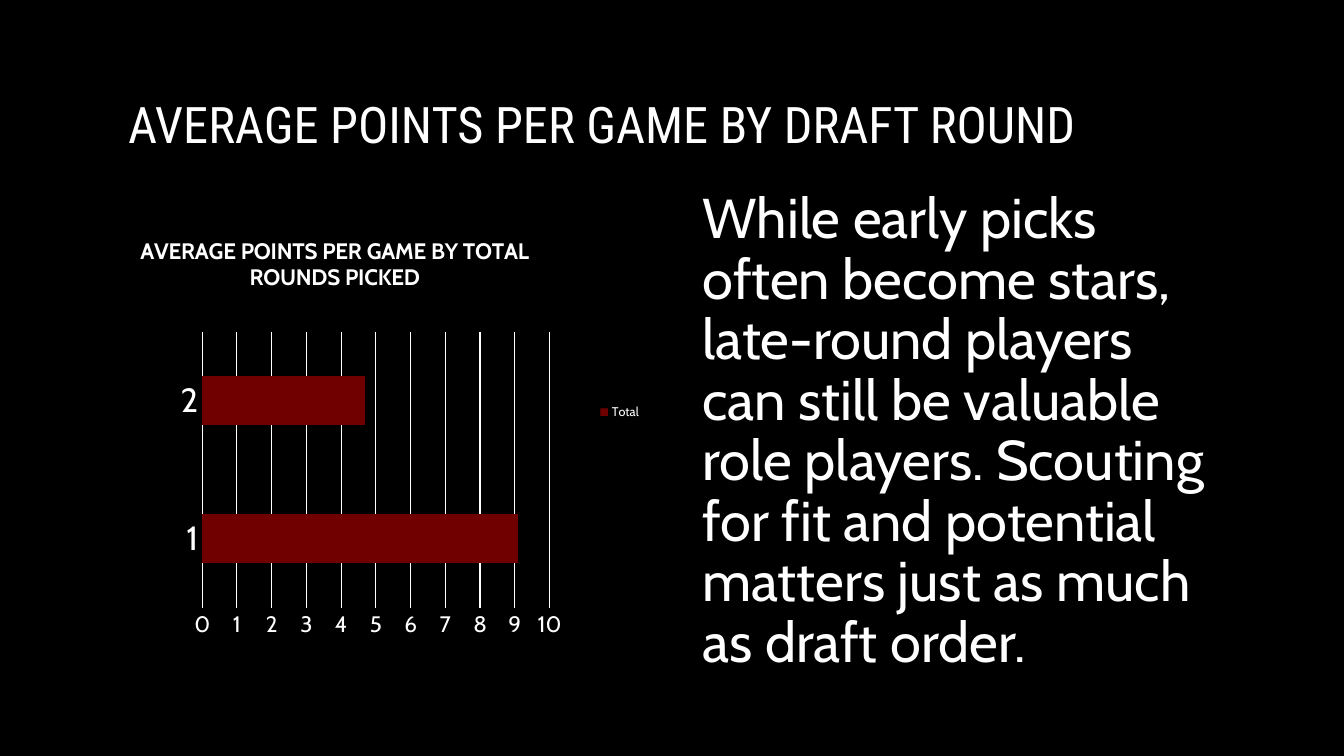
import pptx
import pptx.chart.data
import pptx.dml.color
import pptx.enum.chart
import pptx.enum.text
import pptx.util
import lxml.etree

Inches = pptx.util.Inches
Pt = pptx.util.Pt
RGB = pptx.dml.color.RGBColor
Kind = pptx.enum.chart

BLACK = RGB(0x00, 0x00, 0x00)
WHITE = RGB(0xFF, 0xFF, 0xFF)
RED = RGB(0x70, 0x00, 0x00)
HEAD = "Roboto Condensed"
BODY = "Cabin"


class Page:
    def __init__(self, deck):
        self.slide = deck.slides.add_slide(deck.slide_layouts[5])
        fill = self.slide.background.fill
        fill.solid()
        fill.fore_color.rgb = BLACK

    def style(self, font, size, name=BODY, bold=False):
        look = {"size": Pt(size), "name": name, "bold": bold}
        for key, value in look.items():
            setattr(font, key, value)
        font.color.rgb = WHITE

    def place(self, shape, box):
        for key, value in zip(("left", "top", "width", "height"), box):
            setattr(shape, key, Inches(value))

    def label(self, shape, text, size, name, anchor):
        frame = shape.text_frame
        look = {
            "text": text,
            "word_wrap": True,
            "auto_size": pptx.enum.text.MSO_AUTO_SIZE.NONE,
            "vertical_anchor": anchor,
        }
        for key, value in look.items():
            setattr(frame, key, value)
        line = frame.paragraphs[0]
        line.alignment = pptx.enum.text.PP_ALIGN.LEFT
        line.line_spacing = 0.9
        self.style(line.runs[0].font, size, name)

    def title(self, text, box):
        shape = self.slide.shapes.title
        self.place(shape, box)
        self.label(shape, text, 36, HEAD, pptx.enum.text.MSO_ANCHOR.BOTTOM)

    def text(self, text, box):
        shape = self.slide.shapes.add_textbox(*map(Inches, box))
        self.label(shape, text, 40, BODY, pptx.enum.text.MSO_ANCHOR.TOP)

    def layout(self, node, values):
        tag = node.tag.split("}")[0] + "}"
        old = node.find(tag + "layout")
        if old is None:
            old = lxml.etree.Element(tag + "layout")
            spot = node.find(tag + "tx")
            if spot is None:
                node.insert(0, old)
            else:
                spot.addnext(old)
        for child in list(old):
            old.remove(child)
        manual = lxml.etree.SubElement(old, tag + "manualLayout")
        for key, value in values.items():
            lxml.etree.SubElement(manual, tag + key).set("val", str(value))

    def axis(self, axis, size):
        axis.major_tick_mark = Kind.XL_TICK_MARK.NONE
        axis.minor_tick_mark = Kind.XL_TICK_MARK.NONE
        self.style(axis.tick_labels.font, size)

    def rule(self, line):
        line.color.rgb = WHITE
        line.width = Pt(0.75)

    def bars(self, title, names, label, values, box):
        data = pptx.chart.data.CategoryChartData()
        data.categories = names
        data.add_series(label, values)
        frame = self.slide.shapes.add_chart(
            Kind.XL_CHART_TYPE.BAR_CLUSTERED, *map(Inches, box), data)
        chart = frame.chart
        self.style(chart.font, 10)

        head = chart.chart_title.text_frame
        head.text = title
        self.style(head.paragraphs[0].runs[0].font, 16, bold=True)
        self.layout(chart.chart_title._element,
                    {"xMode": "edge", "yMode": "edge", "x": 0.14, "y": 0.14})

        plot = chart.plots[0]
        plot.gap_width = 182
        plot.vary_by_categories = False
        fill = plot.series[0].format.fill
        fill.solid()
        fill.fore_color.rgb = RED
        self.layout(chart._chartSpace.chart.plotArea, {
            "layoutTarget": "inner", "xMode": "edge", "yMode": "edge",
            "x": 0.25, "y": 0.34, "w": 0.58, "h": 0.55})

        self.axis(chart.category_axis, 24)
        self.rule(chart.category_axis.format.line)
        axis = chart.value_axis
        self.axis(axis, 16)
        axis.format.line.fill.background()
        scale = {"minimum_scale": 0, "maximum_scale": 10, "major_unit": 1,
                 "has_major_gridlines": True}
        for key, value in scale.items():
            setattr(axis, key, value)
        self.rule(axis.major_gridlines.format.line)

        chart.has_legend = True
        chart.legend.position = Kind.XL_LEGEND_POSITION.RIGHT
        chart.legend.include_in_layout = False
        self.style(chart.legend.font, 9)


def main():
    deck = pptx.Presentation()
    deck.slide_width = Inches(13.33)
    deck.slide_height = Inches(7.5)
    page = Page(deck)
    page.title("AVERAGE POINTS PER GAME BY DRAFT ROUND",
               (1.17, 0.33, 11, 1.25))
    page.text("While early picks often become stars, late-round players can "
              "still be valuable role players. Scouting for fit and potential "
              "matters just as much as draft order.",
              (6.87, 1.84, 5.3, 4.98))
    page.bars("AVERAGE POINTS PER GAME BY TOTAL ROUNDS PICKED",
              ("1", "2"), "Total", (9.1, 4.7), (0.52, 1.6, 5.94, 4.98))
    deck.save("out.pptx")


if __name__ == "__main__":
    main()
